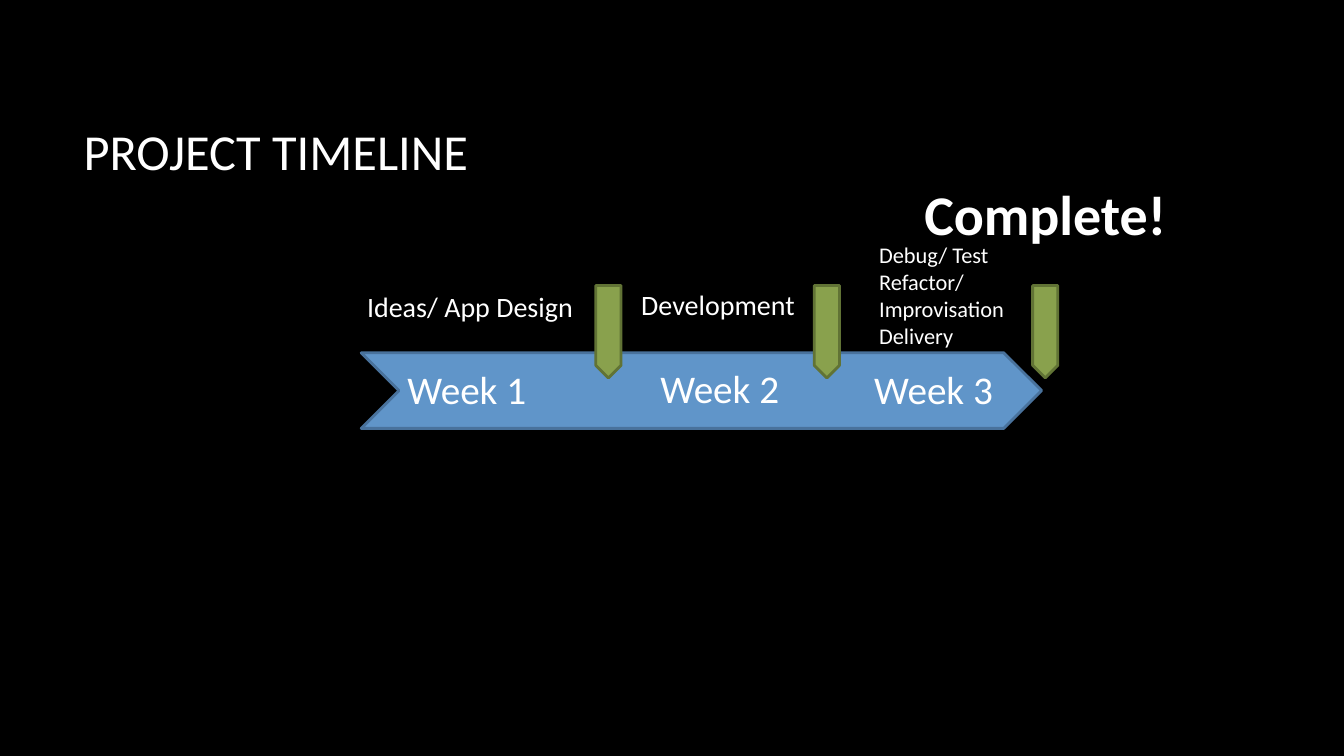
from lxml import etree
from pptx import Presentation
from pptx.dml.color import RGBColor
from pptx.enum.shapes import MSO_SHAPE
from pptx.enum.text import MSO_ANCHOR, MSO_AUTO_SIZE
from pptx.util import Pt

CHEVRON = MSO_SHAPE.CHEVRON
TOP = MSO_ANCHOR.TOP
GROW = MSO_AUTO_SIZE.SHAPE_TO_FIT_TEXT
FIXED = MSO_AUTO_SIZE.NONE
BLACK, WHITE = "000000", "FFFFFF"
BLUE, DARK_BLUE = "6095C9", "49729C"
GREEN, DARK_GREEN = "89A14D", "617335"


def color(hex_code):
    return RGBColor.from_string(hex_code)


def paint(shape, fill, line):
    """Give a shape a solid fill and a 2 pt outline, without shadow."""
    shape.shadow.inherit = False
    shape.fill.solid()
    shape.fill.fore_color.rgb = color(fill)
    shape.line.color.rgb = color(line)
    shape.line.width = Pt(2)


deck = Presentation()
deck.slide_width, deck.slide_height = Pt(960), Pt(540)
page = deck.slides.add_slide(deck.slide_layouts[6])
page.background.fill.solid()
page.background.fill.fore_color.rgb = color(BLACK)

# Timeline band
band = page.shapes.add_shape(CHEVRON, Pt(258), Pt(252), Pt(486), Pt(54))
band.adjustments[0] = 0.5
paint(band, BLUE, DARK_BLUE)

# Markers at the end of each week
marker_width, marker_top, shoulder, tip = 18, 204, 261, 270
for week in range(3):
    left = 425.6 + 156 * week
    right = left + marker_width
    outline = [(right, shoulder), (left + marker_width / 2, tip),
               (left, shoulder), (left, marker_top)]
    builder = page.shapes.build_freeform(Pt(right), Pt(marker_top))
    builder.add_line_segments([(Pt(x), Pt(y)) for x, y in outline], close=True)
    paint(builder.convert_to_shape(), GREEN, DARK_GREEN)

# Labels: left, top, width, height, wrap, size, bold, lines
labels = [
    (657.2, 125.3, 180.7, 54.7, False, 40, True, ["Complete!"]),
    (259.2, 203.8, 161.3, 30.2, True, 20, False, ["Ideas/ App Design"]),
    (455, 202.3, 116.6, 30.2, False, 20, False, ["Development"]),
    (288, 257.8, 92.2, 40.3, False, 28, False, ["Week 1"]),
    (468.7, 257, 92.2, 40.3, False, 28, False, ["Week 2"]),
    (621.4, 257.8, 92.2, 40.3, False, 28, False, ["Week 3"]),
    (625, 169.2, 119.5, 83.5, True, 16, False,
     ["Debug/ Test", "Refactor/ Improvisation", "Delivery"]),
    (52.6, 82.1, 620.6, 78.5, True, 36, False, ["PROJECT TIMELINE"]),
]
for left, top, width, height, wrap, size, bold, lines in labels:
    box = page.shapes.add_textbox(Pt(left), Pt(top), Pt(width), Pt(height))
    is_title = size == 36
    inset_x, inset_y = (7.2, 3.6) if is_title else (3, 3)
    frame_format = {
        "word_wrap": wrap,
        "auto_size": FIXED if is_title else GROW,
        "vertical_anchor": TOP,
        "margin_left": Pt(inset_x),
        "margin_right": Pt(inset_x),
        "margin_top": Pt(inset_y),
        "margin_bottom": Pt(inset_y),
    }
    for name, value in frame_format.items():
        setattr(box.text_frame, name, value)
    box.text_frame.text = "\n".join(lines)
    for para in box.text_frame.paragraphs:
        for span in para.runs:
            font_format = {"name": "Calibri", "size": Pt(size), "bold": bold}
            for name, value in font_format.items():
                setattr(span.font, name, value)
            span.font.color.rgb = color(WHITE)

deck.save("out.pptx")
